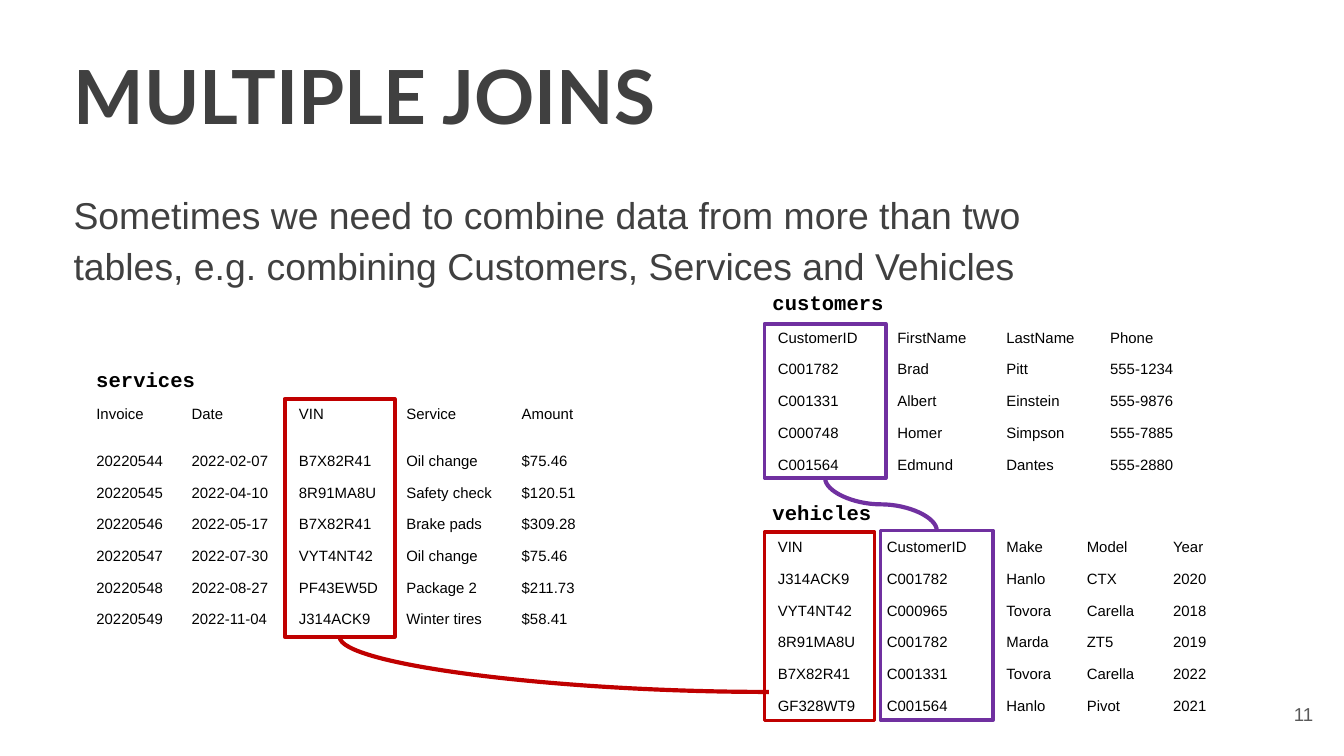
"""Build a slide that shows how three tables are joined."""
from dataclasses import dataclass

import pptx
import pptx.dml.color
import pptx.enum.shapes
import pptx.enum.text
import pptx.oxml.ns
import pptx.util
from lxml import etree

Cm = pptx.util.Cm
Pt = pptx.util.Pt
qn = pptx.oxml.ns.qn
Align = pptx.enum.text.PP_ALIGN
Anchor = pptx.enum.text.MSO_ANCHOR

DARK, GREY, BLACK = "404040", "595959", "000000"
RED, PURPLE = "C00000", "7030A0"
INSET = 0.25
ROW_HEIGHT = 0.59


@dataclass
class Box:
    left: float
    top: float
    width: float
    height: float

    def lengths(self):
        return [Cm(value) for value in (self.left, self.top, self.width, self.height)]

    @property
    def center(self):
        return self.left + self.width / 2

    @property
    def bottom(self):
        return self.top + self.height


@dataclass
class DataTable:
    name: str
    label: Box
    left: float
    top: float
    widths: list[float]
    rows: list[str]
    header_height: float = ROW_HEIGHT
    row_height: float = ROW_HEIGHT


@dataclass
class KeyFrame:
    box: Box
    color: str


@dataclass
class JoinCurve:
    start: tuple[float, float]
    end: tuple[float, float]
    color: str
    preset: str


TABLES = [
    DataTable("services", Box(1.57, 6.81, 2.41, 0.74), 1.57, 7.54,
              [1.8, 2.03, 2.03, 2.18, 1.65], [
                  "Invoice|Date|VIN|Service|Amount",
                  "20220544|2022-02-07|B7X82R41|Oil change|$75.46",
                  "20220545|2022-04-10|8R91MA8U|Safety check|$120.51",
                  "20220546|2022-05-17|B7X82R41|Brake pads|$309.28",
                  "20220547|2022-07-30|VYT4NT42|Oil change|$75.46",
                  "20220548|2022-08-27|PF43EW5D|Package 2|$211.73",
                  "20220549|2022-11-04|J314ACK9|Winter tires|$58.41",
              ], header_height=0.89),
    DataTable("vehicles", Box(14.35, 9.32, 2.41, 0.74), 14.45, 10.06,
              [2.06, 2.26, 1.52, 1.63, 1.3], [
                  "VIN|CustomerID|Make|Model|Year",
                  "J314ACK9|C001782|Hanlo|CTX|2020",
                  "VYT4NT42|C000965|Tovora|Carella|2018",
                  "8R91MA8U|C001782|Marda|ZT5|2019",
                  "B7X82R41|C001331|Tovora|Carella|2022",
                  "GF328WT9|C001564|Hanlo|Pivot|2021",
              ], header_height=0.57, row_height=0.57),
    DataTable("customers", Box(14.35, 5.36, 2.64, 0.74), 14.45, 6.1,
              [2.26, 2.06, 1.96, 1.85], [
                  "CustomerID|FirstName|LastName|Phone",
                  "C001782|Brad|Pitt|555-1234",
                  "C001331|Albert|Einstein|555-9876",
                  "C000748|Homer|Simpson|555-7885",
                  "C001564|Edmund|Dantes|555-2880",
              ]),
]

SERVICE_VIN = KeyFrame(Box(5.38, 7.54, 2.08, 4.5), RED)
VEHICLE_VIN = KeyFrame(Box(14.45, 10.06, 2.08, 3.56), RED)
VEHICLE_CUSTOMER = KeyFrame(Box(16.64, 10.03, 2.13, 3.58), PURPLE)
CUSTOMER_ID = KeyFrame(Box(14.45, 6.12, 2.29, 2.92), PURPLE)
FRAMES = [SERVICE_VIN, VEHICLE_VIN, VEHICLE_CUSTOMER, CUSTOMER_ID]

CURVES = [
    JoinCurve((SERVICE_VIN.box.center, SERVICE_VIN.box.bottom), (14.53, 13.08),
              RED, "curvedConnector2"),
    JoinCurve((CUSTOMER_ID.box.center, CUSTOMER_ID.box.bottom),
              (VEHICLE_CUSTOMER.box.center, VEHICLE_CUSTOMER.box.top),
              PURPLE, "curvedConnector3"),
]


def rgb(color: str):
    return pptx.dml.color.RGBColor.from_string(color)


def write(frame, text: str, *, size: float, color: str = BLACK, font: str = "Arial",
          bold: bool = False, align=Align.LEFT, anchor=Anchor.TOP, inset_y: float = INSET):
    frame.word_wrap = True
    frame.vertical_anchor = anchor
    frame.margin_left = frame.margin_right = Cm(INSET)
    frame.margin_top = frame.margin_bottom = Cm(inset_y)
    para = frame.paragraphs[0]
    para.alignment = align
    span = para.add_run()
    span.text = text
    span.font.size = Pt(size)
    span.font.name = font
    span.font.bold = bold
    span.font.color.rgb = rgb(color)
    return para


def fill_placeholder(shape, box: Box, text: str, **style):
    shape.left, shape.top, shape.width, shape.height = box.lengths()
    para = write(shape.text_frame, text, **style)
    shape.text_frame.auto_size = pptx.enum.text.MSO_AUTO_SIZE.NONE
    return para


def add_label(page, box: Box, text: str, **style) -> None:
    write(page.shapes.add_textbox(*box.lengths()).text_frame, text, **style)


def add_data_table(page, data: DataTable) -> None:
    heights = [data.header_height] + [data.row_height] * (len(data.rows) - 1)
    box = Box(data.left, data.top, sum(data.widths), sum(heights))
    table = page.shapes.add_table(len(heights), len(data.widths), *box.lengths()).table
    table.first_row = table.horz_banding = False
    for column, width in zip(table.columns, data.widths):
        column.width = Cm(width)
    for row, height, line in zip(table.rows, heights, data.rows):
        row.height = Cm(height)
        for cell, text in zip(row.cells, line.split("|")):
            cell.fill.background()
            cell.margin_left = cell.margin_right = Cm(INSET)
            cell.margin_top = cell.margin_bottom = Cm(0.13)
            para = cell.text_frame.paragraphs[0]
            span = para.add_run()
            span.text = text
            span.font.size = Pt(8)
            span.font.name = "Arial"
            span.font.color.rgb = rgb(BLACK)


def add_key_frame(page, frame: KeyFrame) -> None:
    shape = page.shapes.add_shape(pptx.enum.shapes.MSO_SHAPE.RECTANGLE, *frame.box.lengths())
    shape.shadow.inherit = False
    shape.fill.background()
    shape.line.color.rgb = rgb(frame.color)
    shape.line.width = Pt(2)


def add_join_curve(page, curve: JoinCurve) -> None:
    """Draw a curve that leaves its start downwards, as a flipped quarter turn."""
    (x1, y1), (x2, y2) = curve.start, curve.end
    across, down = (x2 - x1) / 2, (y2 - y1) / 2
    x, y = (x1 + x2) / 2, (y1 + y2) / 2
    line = page.shapes.add_connector(
        pptx.enum.shapes.MSO_CONNECTOR.CURVE,
        Cm(x + down), Cm(y - across), Cm(x - down), Cm(y + across))
    line.line.color.rgb = rgb(curve.color)
    line.line.width = Pt(2.25)
    properties = line.element.spPr
    properties.find(qn("a:xfrm")).set("rot", str(270 * 60000))
    properties.find(qn("a:prstGeom")).set("prst", curve.preset)
    etree.SubElement(properties, qn("a:effectLst"))


def main() -> None:
    deck = pptx.Presentation()
    deck.slide_width, deck.slide_height = Cm(25.4), Cm(14.29)
    page = deck.slides.add_slide(deck.slide_layouts[1])
    fill_placeholder(page.shapes.title, Box(1.14, 0.69, 23.9, 2.57), "MULTIPLE JOINS",
                     size=40, color=DARK, font="Lato", bold=True)
    para = fill_placeholder(
        page.placeholders[1], Box(1.14, 3.25, 18.75, 7.47),
        "Sometimes we need to combine data from more than two tables, "
        "e.g. combining Customers, Services and Vehicles", size=20, color=DARK)
    para.line_spacing = 1.15
    para.space_before = Pt(5)
    bullet = para._p.get_or_add_pPr()
    bullet.set("marL", "0")
    bullet.set("indent", "0")
    etree.SubElement(bullet, qn("a:buNone"))
    add_label(page, Box(23.55, 12.95, 1.52, 1.09), "11", size=10, color=GREY,
              align=Align.RIGHT, anchor=Anchor.MIDDLE)
    for data in TABLES:
        add_data_table(page, data)
        add_label(page, data.label, data.name, size=11, font="Courier New",
                  bold=True, inset_y=0.13)
    for frame in FRAMES:
        add_key_frame(page, frame)
    for curve in CURVES:
        add_join_curve(page, curve)
    deck.save("out.pptx")


if __name__ == "__main__":
    main()
